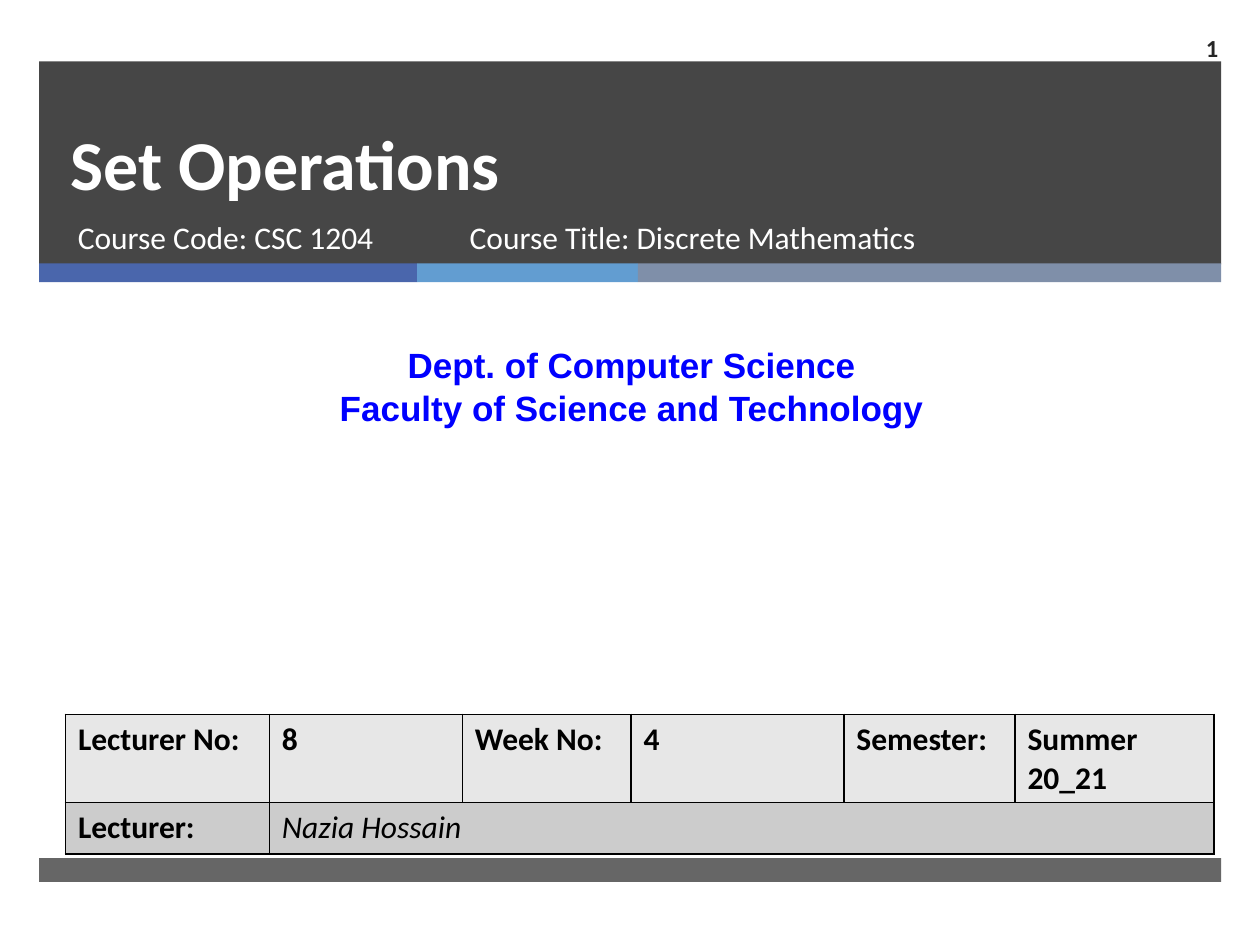
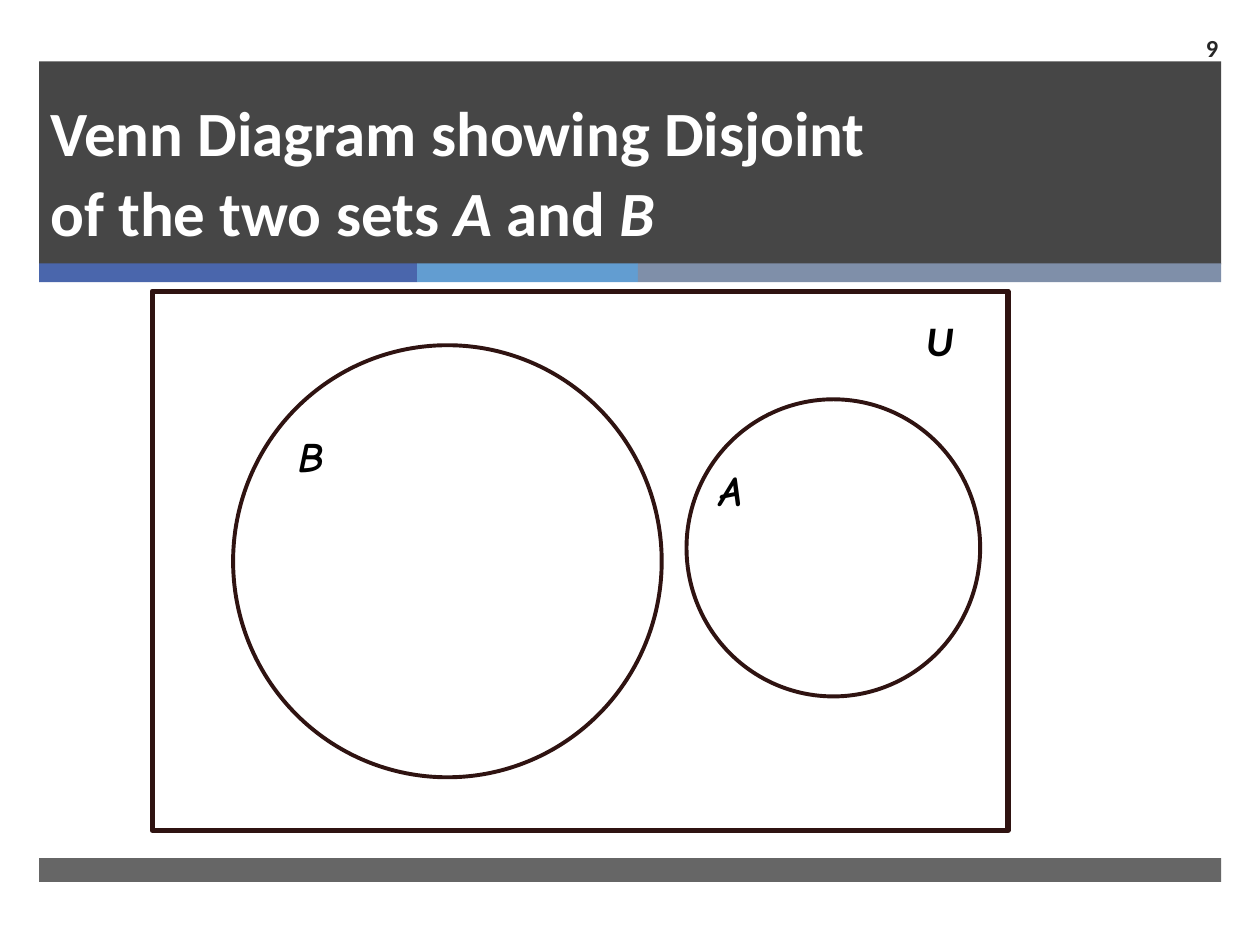
"""Build the Set Operations cover and the disjoint-sets Venn slide."""
from dataclasses import dataclass
from typing import NamedTuple

from lxml.etree import SubElement
from pptx import Presentation
from pptx.dml.color import RGBColor as Rgb
from pptx.enum.shapes import MSO_SHAPE as Preset
from pptx.enum.text import MSO_ANCHOR as Anchor, MSO_AUTO_SIZE as AutoSize, PP_ALIGN as Align
from pptx.oxml.ns import qn
from pptx.presentation import Presentation as Deck
from pptx.shapes.autoshape import Shape
from pptx.slide import Slide, SlideLayout
from pptx.text.text import TextFrame
from pptx.util import Cm, Pt


@dataclass(frozen=True)
class Theme:
    white: Rgb = Rgb(0xFF, 0xFF, 0xFF)
    black: Rgb = Rgb(0, 0, 0)
    dark: Rgb = Rgb(0x26, 0x26, 0x26)
    indigo: Rgb = Rgb(0x4A, 0x66, 0xAC)
    sky: Rgb = Rgb(0x62, 0x9D, 0xD1)
    slate: Rgb = Rgb(0x7F, 0x8F, 0xA9)
    link_blue: Rgb = Rgb(0, 0, 0xFF)
    outline: Rgb = Rgb(0x2F, 0x13, 0x11)
    row_fills: tuple[Rgb, ...] = (Rgb(0xE7, 0xE7, 0xE7), Rgb(0xCC, 0xCC, 0xCC))
    body_font: str = "Calibri"
    department_font: str = "Arial"
    label_font: str = "Comic Neue"
    cover_title: float = 40
    title: float = 36
    title_leading: float = 46
    label: float = 24
    department: float = 20
    body: float = 18
    number: float = 14


THEME = Theme()


class Box(NamedTuple):
    left: float
    top: float
    width: float
    height: float

    def lengths(self) -> tuple[Cm, ...]:
        return tuple(Cm(value) for value in self)


class Style(NamedTuple):
    size: float
    color: Rgb
    font: str = THEME.body_font
    bold: bool = False


class Piece(NamedTuple):
    text: str
    italic: bool = False


Line = list[Piece]


@dataclass(frozen=True)
class Band:
    box: Box
    color: Rgb
    opacity: int = 100


@dataclass(frozen=True)
class Outline:
    preset: Preset
    box: Box
    weight: float


@dataclass(frozen=True)
class Label:
    box: Box
    lines: list[Line]
    style: Style
    align: Align = Align.LEFT
    anchor: Anchor = Anchor.TOP
    spacing: float = 1.0


BAND_LEFT, BAND_WIDTH = 0.79, 23.83
STRIPES = ((7.62, THEME.indigo), (4.45, THEME.sky), (11.76, THEME.slate))
BODY = Style(THEME.body, THEME.white)
CELL = Style(THEME.body, THEME.black, bold=True)
SET_NAME = Style(THEME.label, THEME.black, THEME.label_font, True)
UNIVERSE = Style(THEME.label, THEME.black, bold=True)
DEPARTMENT = Style(THEME.department, THEME.link_blue, THEME.department_font, True)

COVER_LABELS = [
    Label(Box(1.32, 4.27, 7.75, 1.35), [[Piece("Course Code: CSC 1204")]], BODY),
    Label(Box(0.2, 6.81, 25.07, 1.96),
          [[Piece("Dept. of Computer Science")], [Piece("Faculty of Science and Technology")]],
          DEPARTMENT, Align.CENTER),
    Label(Box(9.22, 4.27, 11.56, 1.35), [[Piece("Course Title: Discrete Mathematics")]], BODY),
]
VENN_OUTLINES = [
    Outline(Preset.RECTANGLE, Box(3.07, 5.87, 17.25, 10.87), 3),
    Outline(Preset.OVAL, Box(4.7, 6.96, 8.64, 8.71), 2.25),
    Outline(Preset.OVAL, Box(13.84, 8.05, 5.92, 5.99), 2.25),
]
VENN_LABELS = [
    Label(Box(14.25, 9.35, 1.35, 1.27), [[Piece("A", True)]], SET_NAME, spacing=0.9),
    Label(Box(5.77, 8.66, 1.45, 1.07), [[Piece("B", True)]], SET_NAME, spacing=0.9),
    Label(Box(18.42, 6.22, 1.37, 1.3), [[Piece("U", True)]], UNIVERSE),
]
LECTURE_COLUMNS = (4.11, 3.89, 3.4, 4.29, 3.45, 4.01)
LECTURE_ROWS = [
    [Piece("Lecturer No:"), Piece("8"), Piece("Week No:"), Piece("4"),
     Piece("Semester:"), Piece("Summer 20_21")],
    [Piece("Lecturer:"), Piece("Nazia Hossain", True)],
]


def write_lines(frame: TextFrame, lines: list[Line], style: Style,
                align: Align = Align.LEFT, spacing: float | Pt = 1.0) -> None:
    for index, line in enumerate(lines):
        paragraph = frame.add_paragraph() if index else frame.paragraphs[0]
        paragraph.alignment = align
        paragraph.line_spacing = spacing
        for piece in line:
            if piece.text == "\n":
                paragraph.add_line_break()
                continue
            run = paragraph.add_run()
            run.text = piece.text
            run.font.name = style.font
            run.font.size = Pt(style.size)
            run.font.bold = style.bold
            run.font.italic = piece.italic
            run.font.color.rgb = style.color


def draw_band(slide: Slide, band: Band) -> Shape:
    shape = slide.shapes.add_shape(Preset.RECTANGLE, *band.box.lengths())
    shape.shadow.inherit = False
    shape.line.fill.background()
    shape.fill.solid()
    shape.fill.fore_color.rgb = band.color
    if band.opacity < 100:
        color = next(shape.element.iter(qn("a:srgbClr")))
        SubElement(color, qn("a:alpha"), val=str(band.opacity * 1000))
    return shape


def draw_outline(slide: Slide, outline: Outline) -> None:
    shape = slide.shapes.add_shape(outline.preset, *outline.box.lengths())
    shape.shadow.inherit = False
    shape.fill.background()
    shape.line.color.rgb = THEME.outline
    shape.line.width = Pt(outline.weight)


def draw_label(slide: Slide, label: Label) -> None:
    frame = slide.shapes.add_textbox(*label.box.lengths()).text_frame
    frame.word_wrap = True
    frame.vertical_anchor = label.anchor
    write_lines(frame, label.lines, label.style, label.align, label.spacing)


def dress_layout(layout: SlideLayout, slide: Slide) -> None:
    for placeholder in list(layout.placeholders)[1:]:
        layout.shapes.element.remove(placeholder.element)
    bands = [Band(Box(BAND_LEFT, 1.24, BAND_WIDTH, 4.09), THEME.dark, 85)]
    left = BAND_LEFT
    for width, color in STRIPES:
        bands.append(Band(Box(left, 5.31, width, 0.38), color))
        left += width
    bands.append(Band(Box(BAND_LEFT, 17.3, BAND_WIDTH, 0.48), THEME.dark, 70))
    for band in bands:
        layout.shapes.element.append(draw_band(slide, band).element)


def fill_heading(slide: Slide, box: Box, line: Line, size: float, number: int) -> None:
    title = slide.shapes.title
    title.left, title.top, title.width, title.height = box.lengths()
    frame = title.text_frame
    frame.word_wrap = True
    frame.auto_size = AutoSize.NONE
    frame.vertical_anchor = Anchor.BOTTOM
    write_lines(frame, [line], Style(size, THEME.white, bold=True),
                spacing=Pt(THEME.title_leading))
    draw_label(slide, Label(Box(23.06, 0.46, 1.75, 0.99), [[Piece(str(number))]],
                            Style(THEME.number, THEME.dark, bold=True),
                            Align.RIGHT, Anchor.MIDDLE))


def draw_lecture_table(slide: Slide) -> None:
    box = Box(1.32, 14.4, sum(LECTURE_COLUMNS), 2.08)
    holder = slide.shapes.add_table(len(LECTURE_ROWS), len(LECTURE_COLUMNS), *box.lengths())
    table = holder.table
    for column, width in zip(table.columns, LECTURE_COLUMNS):
        column.width = Cm(width)
    table.cell(1, 1).merge(table.cell(1, len(LECTURE_COLUMNS) - 1))
    for row_index, (pieces, fill) in enumerate(zip(LECTURE_ROWS, THEME.row_fills)):
        for cell in table.rows[row_index].cells:
            cell.fill.solid()
            cell.fill.fore_color.rgb = fill
        for column_index, piece in enumerate(pieces):
            style = CELL._replace(bold=not piece.italic)
            write_lines(table.cell(row_index, column_index).text_frame, [[piece]], style)
    for properties in holder.element.iter(qn("a:tcPr")):
        for index, side in enumerate(("a:lnL", "a:lnR", "a:lnT", "a:lnB")):
            border = SubElement(properties, qn(side), w=str(Pt(1)))
            solid = SubElement(border, qn("a:solidFill"))
            SubElement(solid, qn("a:srgbClr"), val=str(THEME.black))
            properties.insert(index, border)


def build_cover(slide: Slide) -> None:
    fill_heading(slide, Box(1.17, 1.24, 21.69, 3.02), [Piece("Set Operations")],
                 THEME.cover_title, 1)
    for label in COVER_LABELS:
        draw_label(slide, label)
    draw_lecture_table(slide)


def build_venn(slide: Slide) -> None:
    heading = [Piece("Venn Diagram showing Disjoint"), Piece("\n"), Piece("of the two sets "),
               Piece("A", True), Piece(" and "), Piece("B", True)]
    fill_heading(slide, Box(0.76, 1.47, 21.69, 3.68), heading, THEME.title, 9)
    for outline in VENN_OUTLINES:
        draw_outline(slide, outline)
    for label in VENN_LABELS:
        draw_label(slide, label)


def main() -> None:
    presentation: Deck = Presentation()
    presentation.slide_width, presentation.slide_height = Cm(25.4), Cm(19.05)
    layout = presentation.slide_layouts.get_by_name("Title Only")
    cover = presentation.slides.add_slide(layout)
    dress_layout(layout, cover)
    build_cover(cover)
    build_venn(presentation.slides.add_slide(layout))
    presentation.save("out.pptx")


if __name__ == "__main__":
    main()
